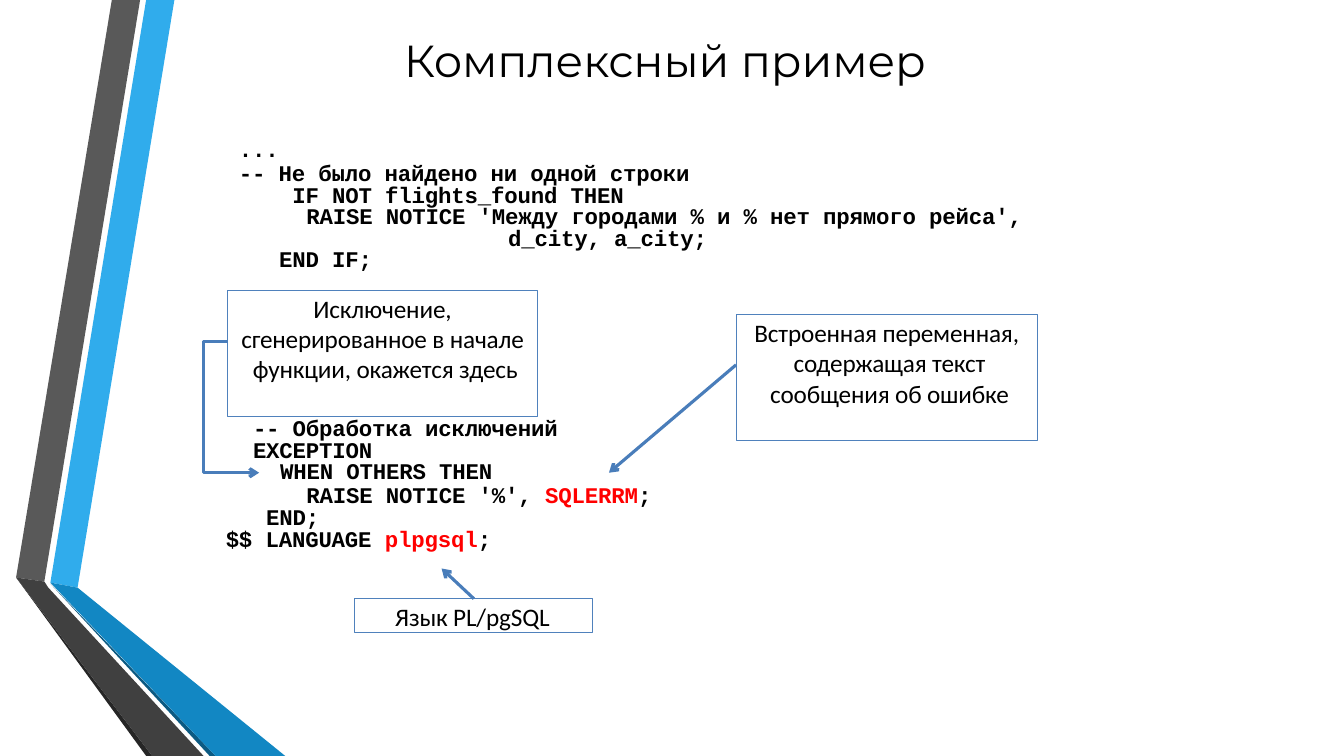
from dataclasses import dataclass

from lxml import etree
from pptx import Presentation
from pptx.dml.color import RGBColor
from pptx.enum.shapes import MSO_CONNECTOR, MSO_SHAPE
from pptx.enum.text import MSO_ANCHOR, PP_ALIGN
from pptx.oxml.ns import qn
from pptx.util import Pt

PX = 9144  # EMU in one px, 100 px to the inch
RECT, LINE = MSO_SHAPE.RECTANGLE, MSO_CONNECTOR.STRAIGHT
LEFT, MID = PP_ALIGN.LEFT, PP_ALIGN.CENTER
TOP, CORE = MSO_ANCHOR.TOP, MSO_ANCHOR.MIDDLE
BLACK, RED, EDGE, ARROW = "000000", "FF0000", "4F81BC", "497DBA"
Point = tuple[int, int]
CODE = dict(name="Courier New", size=Pt(16), bold=True)
NOTE = dict(name="Calibri", size=Pt(18), bold=False)
HEAD = dict(name="Montserrat", size=Pt(32), bold=False)


@dataclass
class Band:
    color: str
    points: list[Point]


@dataclass
class Para:
    """Segments between bars are red; a line feed is a line break."""
    text: str
    left: int = 0
    first: int = 0
    right: int = 0
    pitch: float | None = None
    before: float = 0
    align: PP_ALIGN = LEFT


@dataclass
class Block:
    box: tuple[int, int, int, int]
    font: dict
    paras: list[Para]
    inset: int = 1
    anchor: MSO_ANCHOR = TOP
    framed: bool = False


BANDS = [
    Band("30ACEC", [(50, 578), (77, 583), (173, 0), (145, 0)]),
    Band("595959", [(139, 0), (111, 0), (16, 573), (44, 577)]),
    Band("262626", [(16, 573), (145, 750), (151, 750)]),
    Band("0C5A82", [(50, 579), (208, 750), (214, 750)]),
    Band("1287C3", [(50, 578), (214, 750), (283, 750), (77, 583)]),
    Band("404040", [(202, 750), (48, 583), (44, 577), (16, 573), (151, 750)]),
]

BLOCKS = [
    Block((236, 136, 790, 136), CODE, [
        Para("...", 1, pitch=17.3, before=0.9),
        Para("-- Не было найдено ни одной строки\n IF NOT flights_found THEN",
             41, -40, pitch=15.4, before=1.8),
        Para("RAISE NOTICE 'Между городами % и % нет прямого рейса',\n d_city, a_city;",
             255, -187, pitch=15.4),
        Para("END IF;", 41, pitch=15.3),
    ]),
    Block((223, 413, 430, 136), CODE, [
        Para("-- Обработка исключений", 28, pitch=17.3, before=0.9),
        Para("EXCEPTION", 28, pitch=15.3),
        Para("WHEN OTHERS THEN", 55, pitch=15.3),
        Para("RAISE NOTICE '%', |SQLERRM|;\n END;", 28, 53, pitch=15.4, before=1.8),
        Para("$$ LANGUAGE |plpgsql|;", 1, pitch=15.4),
    ]),
    Block((730, 312, 299, 125), NOTE, [
        Para("Встроенная переменная,\n содержащая текст\n сообщения об ошибке",
             17, right=17, before=2.5, align=MID),
    ], inset=3, framed=True),
    Block((226, 288, 307, 125), NOTE, [
        Para("Исключение,", before=2.4, align=MID),
        Para("сгенерированное в начале\n функции, окажется здесь", 11, right=11, align=MID),
    ], inset=3, framed=True),
    Block((352, 594, 236, 34), NOTE, [
        Para("Язык PL/pgSQL", 40, before=2.5),
    ], inset=3, framed=True),
    Block((301, 31, 716, 55), HEAD, [
        Para("Комплексный пример", 1, before=0.9, align=MID),
    ], anchor=CORE),
]

LINKS: list[tuple[Point, Point]] = [((730, 362), (604, 469)), ((470, 594), (438, 564))]
BEND: list[Point] = [(226, 339), (202, 339), (202, 469), (257, 469)]


def tint(color: str) -> RGBColor:
    return RGBColor.from_string(color)


def trace(shapes, points: list[Point], close: bool):
    path = shapes.build_freeform(*points[0], scale=PX)
    path.add_line_segments(points[1:], close=close)
    shape = path.convert_to_shape()
    shape.shadow.inherit = False
    return shape


def draw_band(shapes, band: Band) -> None:
    shape = trace(shapes, band.points, True)
    shape.fill.solid()
    shape.fill.fore_color.rgb = tint(band.color)
    shape.line.fill.background()


def add_head(shape) -> None:
    shape.line.color.rgb = tint(ARROW)
    shape.line.width = Pt(2.25)
    line = shape.line._get_or_add_ln()
    etree.SubElement(line, qn("a:tailEnd"), type="arrow")


def draw_link(shapes, start: Point, end: Point) -> None:
    link = shapes.add_connector(LINE, *(n * PX for n in start + end))
    add_head(link)
    etree.SubElement(link._element.spPr, qn("a:effectLst"))


def draw_bend(shapes, points: list[Point]) -> None:
    shape = trace(shapes, points, False)
    shape.fill.background()
    add_head(shape)


def write_run(para, text: str, color: str, font: dict) -> None:
    for i, line in enumerate(text.split("\n")):
        if i:
            para.add_line_break()
        run = para.add_run()
        run.text = line
        for key, value in font.items():
            setattr(run.font, key, value)
        run.font.color.rgb = tint(color)
        run._r.get_or_add_rPr().set("spc", "-10")


def write_para(para, item: Para, font: dict) -> None:
    style = dict(alignment=item.align, space_before=Pt(item.before),
                 line_spacing=Pt(item.pitch) if item.pitch else None)
    for key, value in style.items():
        setattr(para, key, value)
    edges = dict(marL=item.left, marR=item.right, indent=item.first)
    for key, value in edges.items():
        para._p.get_or_add_pPr().set(key, str(value * PX))
    for i, part in enumerate(item.text.split("|")):
        write_run(para, part, RED if i % 2 else BLACK, font)


def draw_block(shapes, block: Block) -> None:
    box = [n * PX for n in block.box]
    if block.framed:
        shape = shapes.add_shape(RECT, *box)
        shape.shadow.inherit = False
        shape.fill.background()
        shape.line.color.rgb = tint(EDGE)
        shape.line.width = Pt(0.75)
    else:
        shape = shapes.add_textbox(*box)
    frame = shape.text_frame
    style = dict(word_wrap=True, vertical_anchor=block.anchor, margin_left=0,
                 margin_right=0, margin_bottom=0, margin_top=block.inset * PX)
    for key, value in style.items():
        setattr(frame, key, value)
    for i, item in enumerate(block.paras):
        para = frame.add_paragraph() if i else frame.paragraphs[0]
        write_para(para, item, block.font)


def main() -> None:
    deck = Presentation()
    deck.slide_width, deck.slide_height = 1333 * PX, 750 * PX
    shapes = deck.slides.add_slide(deck.slide_layouts[6]).shapes
    # Ribbon at the left edge
    for band in BANDS:
        draw_band(shapes, band)
    # Code, notes and title
    for block in BLOCKS:
        draw_block(shapes, block)
    # Arrows from the notes to the code
    for start, end in LINKS:
        draw_link(shapes, start, end)
    draw_bend(shapes, BEND)
    deck.save("out.pptx")


if __name__ == "__main__":
    main()
